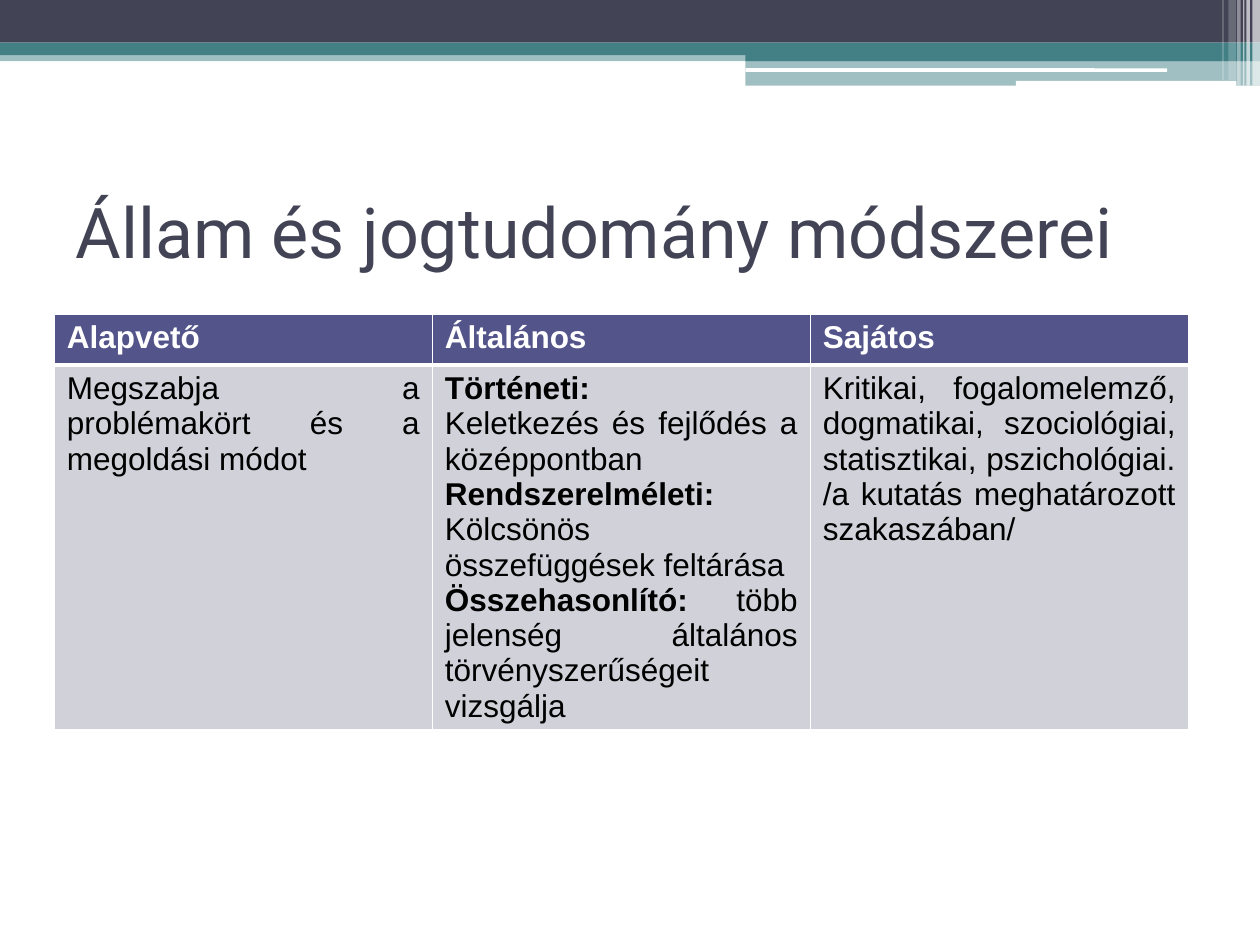
from dataclasses import dataclass

from lxml import etree
from pptx import Presentation
from pptx.dml.color import RGBColor
from pptx.enum import shapes, text
from pptx.oxml.ns import qn
from pptx.util import Pt


@dataclass(frozen=True)
class Theme:
    navy: str = "424456"
    teal: str = "438086"
    white: str = "FFFFFF"
    black: str = "000000"
    header_fill: str = "53548A"
    body_fill: str = "D1D1DA"
    title_font: str = "Roboto"
    table_font: str = "Arial"
    title_size: int = 40
    table_size: int = 18


THEME = Theme()

TITLE = "Állam és jogtudomány módszerei"
HEADINGS = ["Alapvető", "Általános", "Sajátos"]
# Each cell is a list of paragraphs; each paragraph a list of (wording, bold)
METHODS = [
    [[("Megszabja a problémakört és a megoldási módot", False)]],
    [
        [("Történeti:", True)],
        [("Keletkezés és fejlődés a középpontban", False)],
        [("Rendszerelméleti:", True)],
        [("Kölcsönös összefüggések feltárása", False)],
        [("Összehasonlító: ", True),
         ("több jelenség általános törvényszerűségeit vizsgálja", False)],
    ],
    [[("Kritikai, fogalomelemző, dogmatikai, szociológiai, statisztikai, "
       "pszichológiai. /a kutatás meghatározott szakaszában/", False)]],
]


def rgb(color):
    return RGBColor.from_string(color)


def add_bar(slide, box, color, opacity=100, rounded=False):
    kind = shapes.MSO_SHAPE.ROUNDED_RECTANGLE if rounded else shapes.MSO_SHAPE.RECTANGLE
    bar = slide.shapes.add_shape(kind, *map(Pt, box))
    bar.shadow.inherit = False
    bar.line.fill.background()
    bar.fill.solid()
    bar.fill.fore_color.rgb = rgb(color)
    if opacity < 100:
        tint = bar.fill._xPr.find(qn("a:solidFill"))[0]
        etree.SubElement(tint, qn("a:alpha"), val=str(opacity * 1000))


def add_header_band(slide, box):
    left, top, width, height = box
    right = left + width
    step_left, step_width = left + 426, width - 426

    # Full-width bands and the deeper step on the right
    add_bar(slide, (left, top + 28.8, width, 6.2), THEME.teal, 50)
    add_bar(slide, (left, top, width, 24.4), THEME.navy)
    add_bar(slide, (left, top + 24.4, width, 7.2), THEME.teal)
    add_bar(slide, (step_left, top + 28, step_width, 7), THEME.teal)
    add_bar(slide, (step_left, top + 35, step_width, height - 35), THEME.teal, 50)

    # White rules across the step
    add_bar(slide, (step_left, top + 39, 241, 2), THEME.white, rounded=True)
    add_bar(slide, (left + 580.5, top + 46.2, 126, 2.8), THEME.white, rounded=True)

    # Translucent stripes: offset from the right edge, width, height, opacity
    stripes = [
        (4.3, 4.3, height, 65), (7.8, 2, height, 65), (9.6, 0.7, height, 60),
        (13, 2, height, 40), (18, 4.3, height - 3, 20), (21.5, 0.7, height - 3, 30),
    ]
    for offset, stripe_width, stripe_height, opacity in stripes:
        add_bar(slide, (right - offset, top, stripe_width, stripe_height),
                THEME.white, opacity)


def place_title(slide, box):
    title = slide.shapes.title
    title.left, title.top, title.width, title.height = map(Pt, box)
    title.text_frame.text = TITLE
    title.text_frame.vertical_anchor = text.MSO_ANCHOR.MIDDLE
    heading = title.text_frame.paragraphs[0]
    heading.alignment = text.PP_ALIGN.LEFT
    heading.font.name = THEME.title_font
    heading.font.size = Pt(THEME.title_size)
    heading.font.color.rgb = rgb(THEME.navy)


def set_borders(cell, **widths):
    properties = cell._tc.get_or_add_tcPr()
    for side in "LRTB":
        line = etree.SubElement(properties, qn(f"a:ln{side}"),
                                w=str(Pt(widths.get(side, 1))))
        fill = etree.SubElement(line, qn("a:solidFill"))
        etree.SubElement(fill, qn("a:srgbClr"), val=THEME.white)


def fill_cell(cell, paragraphs, fill, color, alignment):
    cell.fill.solid()
    cell.fill.fore_color.rgb = rgb(fill)
    frame = cell.text_frame
    for index, pieces in enumerate(paragraphs):
        paragraph = frame.add_paragraph() if index else frame.paragraphs[0]
        paragraph.alignment = alignment
        paragraph.font.name = THEME.table_font
        paragraph.font.size = Pt(THEME.table_size)
        paragraph.font.color.rgb = rgb(color)
        for wording, bold in pieces:
            run = paragraph.add_run()
            run.text = wording
            run.font.bold = bold


def add_methods_table(slide, box, header_height=29.2):
    table = slide.shapes.add_table(2, len(HEADINGS), *map(Pt, box)).table
    table.rows[0].height = Pt(header_height)
    table.rows[1].height = Pt(box[3] - header_height)
    for column, (heading, method) in enumerate(zip(HEADINGS, METHODS)):
        header, body = table.cell(0, column), table.cell(1, column)
        set_borders(header, B=3)
        set_borders(body, T=3)
        fill_cell(header, [[(heading, True)]], THEME.header_fill, THEME.white,
                  text.PP_ALIGN.LEFT)
        fill_cell(body, method, THEME.body_fill, THEME.black,
                  text.PP_ALIGN.JUSTIFY)


def main():
    deck = Presentation()
    deck.slide_width, deck.slide_height = Pt(720), Pt(540)
    slide = deck.slides.add_slide(deck.slide_layouts[5])
    add_header_band(slide, (0, 0, 720, 49))
    place_title(slide, (36, 90, 648, 84))
    add_methods_table(slide, (31, 179.3, 648, 237))
    deck.save("out.pptx")


if __name__ == "__main__":
    main()
